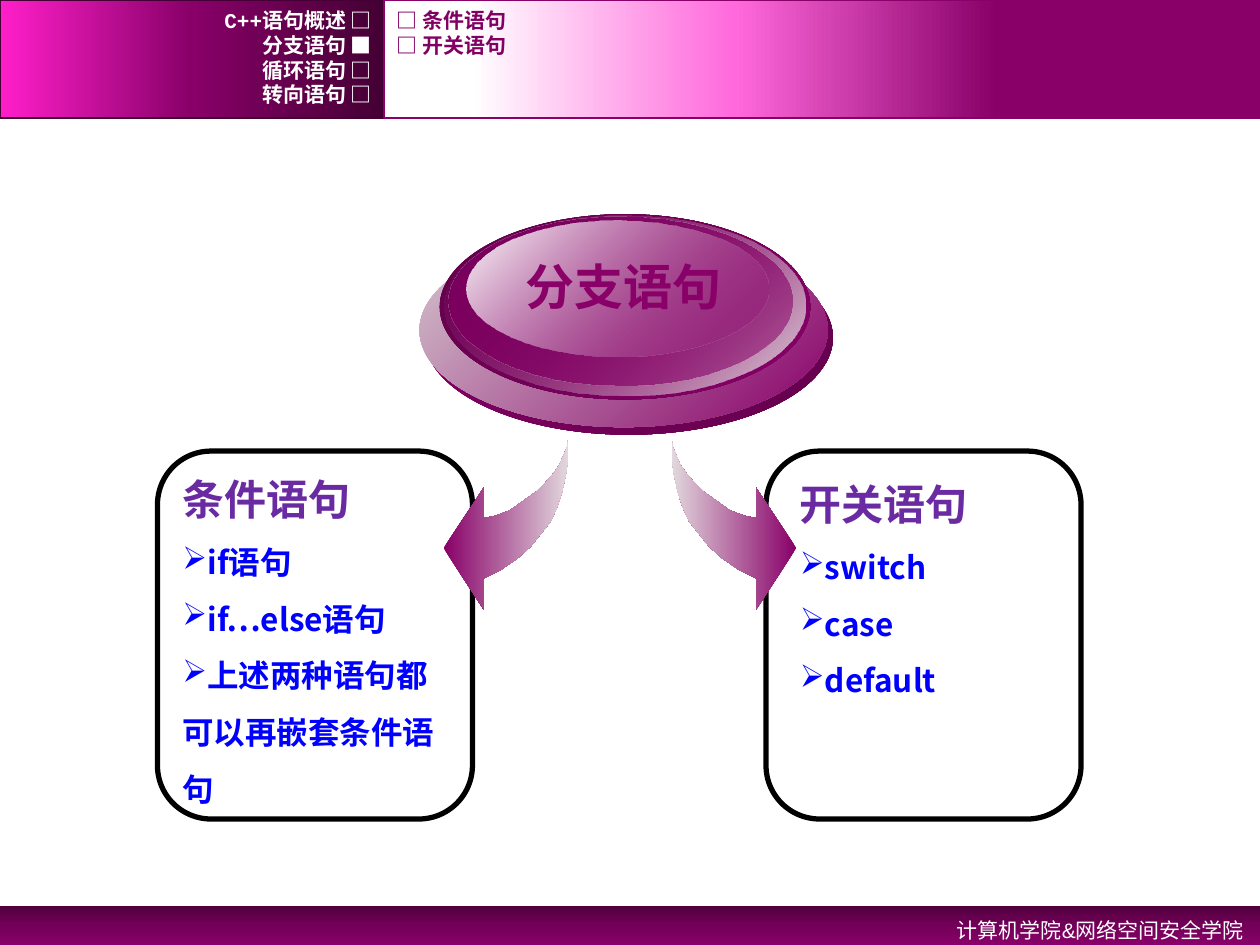
from lxml.etree import SubElement
from pptx import Presentation
from pptx.dml.color import RGBColor
from pptx.enum.shapes import MSO_SHAPE as Shape
from pptx.enum.text import MSO_ANCHOR as Anchor, MSO_AUTO_SIZE as AutoSize, PP_ALIGN as Align
from pptx.oxml.ns import qn
from pptx.util import Inches, Pt

WHITE = RGBColor(0xFF, 0xFF, 0xFF)
BLACK = RGBColor(0x00, 0x00, 0x00)
BLUE = RGBColor(0x00, 0x00, 0xFF)
VIOLET = RGBColor(0x69, 0x2A, 0xA2)
PLUM = RGBColor(0x88, 0x00, 0x68)
MENU_PLUM = RGBColor(0x82, 0x00, 0x64)
DARK_PLUM = RGBColor(0x44, 0x00, 0x34)
FOOTER_DARK = RGBColor(0x51, 0x00, 0x3E)
FOOTER_MIDDLE = RGBColor(0x73, 0x00, 0x58)
MAGENTA = RGBColor(0xFF, 0x1F, 0xCA)
PINK = RGBColor(0xFF, 0x69, 0xDC)
ARROW_PALE = RGBColor(0xE2, 0xD8, 0xDD)
BASE_SHADE = RGBColor(0x63, 0x00, 0x4C)
BASE_PALE = RGBColor(0xD5, 0xC6, 0xCE)
RIM_DARK = RGBColor(0x61, 0x00, 0x4A)
RIM_PALE = RGBColor(0xDF, 0xD4, 0xDA)
DISC_DARK = RGBColor(0x7B, 0x00, 0x5E)

CJK_FONT = "Noto Sans CJK SC"
HEADING = {"name": CJK_FONT, "size": Pt(24), "bold": True, "color": VIOLET}
ITEM = {"name": CJK_FONT, "size": Pt(18), "bold": True, "color": BLUE}
TITLE = {"name": CJK_FONT, "size": Pt(28), "bold": True, "color": PLUM}
MENU = {"name": "Courier New", "size": Pt(12), "bold": True, "color": WHITE}
SUBMENU = {**MENU, "color": MENU_PLUM}
FOOTER = {"name": "Arial", "size": Pt(12), "bold": False, "color": WHITE}

CHAPTERS = ["C++语句概述 □", "分支语句 ■", "循环语句 □", "转向语句 □"]
SECTIONS = ["□ 条件语句", "□ 开关语句"]
MENU_STEP = 0.197

BUTTON_LAYERS = [
    ((3.37, 1.91, 3.24, 1.54), [(0, PLUM, 100), (100, BASE_SHADE, 100)]),
    ((3.33, 1.85, 3.24, 1.54), [(0, BASE_PALE, 100), (100, PLUM, 100)]),
    ((3.49, 1.7, 2.94, 1.47), [(0, RIM_DARK, 100), (100, PLUM, 100)]),
    ((3.53, 1.71, 2.86, 1.43), [(0, PLUM, 0), (100, RIM_PALE, 100)]),
    ((3.56, 1.72, 2.73, 1.34), [(0, DISC_DARK, 100), (100, PLUM, 48)]),
    ((3.7, 1.75, 2.4, 1.08), [(0, WHITE, 100), (100, PLUM, 38)]),
]

ARROW_POINTS = [
    (451, 348), (451, 363), (449, 377), (446, 391), (442, 403), (437, 414), (429, 424),
    (421, 434), (411, 443), (398, 452), (384, 459), (384, 484), (352, 435), (384, 387),
    (384, 411), (391, 410), (397, 408), (405, 405), (412, 400), (419, 395), (426, 390),
    (433, 383), (439, 376), (444, 369), (447, 362), (450, 355),
]
MIRROR_SUM = 984


def fill_gradient(shape, stops, angle):
    shape.fill.gradient()
    gradient = shape._element.spPr.find(qn("a:gradFill"))
    for child in list(gradient):
        gradient.remove(child)
    stop_list = SubElement(gradient, qn("a:gsLst"))
    for position, color, opacity in stops:
        stop = SubElement(stop_list, qn("a:gs"), pos=str(position * 1000))
        color_element = SubElement(stop, qn("a:srgbClr"), val=str(color))
        if opacity < 100:
            SubElement(color_element, qn("a:alpha"), val=str(opacity * 1000))
    SubElement(gradient, qn("a:lin"), ang=str(angle * 60000), scaled="0")


def style_shape(shape, stops=None, angle=0, line=None, width=1):
    shape.shadow.inherit = False
    if stops:
        fill_gradient(shape, stops, angle)
    else:
        shape.fill.background()
    if line is None:
        shape.line.fill.background()
    else:
        shape.line.color.rgb = line
        shape.line.width = Pt(width)


def add_preset(shapes, kind, box, **style):
    shape = shapes.add_shape(kind, *map(Inches, box))
    style_shape(shape, **style)
    return shape


def add_arrow(slide, points, angle):
    builder = slide.shapes.build_freeform(*points[0], scale=Inches(0.01))
    builder.add_line_segments(points[1:], close=True)
    style_shape(builder.convert_to_shape(), [(0, PLUM, 100), (100, ARROW_PALE, 100)], angle)


def write_run(paragraph, text, font_format):
    run = paragraph.add_run()
    run.text = text
    for key, value in font_format.items():
        if key == "color":
            run.font.color.rgb = value
        else:
            setattr(run.font, key, value)
    SubElement(run._r.get_or_add_rPr(), qn("a:ea"), typeface=CJK_FONT)


def add_text(slide, box, text, font_format, align=Align.LEFT, spacing=None, **frame_format):
    frame = slide.shapes.add_textbox(*map(Inches, box)).text_frame
    for key, value in {"word_wrap": True, **frame_format}.items():
        setattr(frame, key, value)
    paragraph = frame.paragraphs[0]
    paragraph.alignment = align
    if spacing:
        paragraph.line_spacing = spacing
    write_run(paragraph, text, font_format)
    return frame


def add_menu(slide, left, width, entries, font_format, align):
    for row, entry in enumerate(entries):
        add_text(slide, (left, 0.06 + row * MENU_STEP, width, 0.2), entry, font_format, align,
                 vertical_anchor=Anchor.MIDDLE)


def add_card(slide, left, text_box, heading, items):
    card = add_preset(slide.shapes, Shape.ROUNDED_RECTANGLE, (left, 3.58, 2.5, 2.92),
                      line=BLACK, width=3)
    card.adjustments[0] = 0.17
    frame = add_text(slide, text_box, heading, HEADING, auto_size=AutoSize.SHAPE_TO_FIT_TEXT)
    for item in items:
        paragraph = frame.add_paragraph()
        properties = paragraph._p.get_or_add_pPr()
        properties.set("marL", "0")
        properties.set("indent", "0")
        SubElement(properties, qn("a:buChar"), char="➢")
        paragraph.line_spacing = 1.5
        write_run(paragraph, item, ITEM)


def add_bands(slide):
    add_preset(slide.shapes, Shape.RECTANGLE, (0, 7.19, 10, 0.31), angle=90,
               stops=[(0, FOOTER_DARK, 100), (50, FOOTER_MIDDLE, 100), (100, PLUM, 100)])
    add_preset(slide.shapes, Shape.RECTANGLE, (0, 0, 3.05, 0.94), angle=180, line=DARK_PLUM,
               stops=[(0, DARK_PLUM, 100), (50, PLUM, 100), (100, MAGENTA, 100)])
    add_preset(slide.shapes, Shape.RECTANGLE, (3.05, 0, 6.95, 0.94), angle=180, line=PLUM,
               stops=[(30, PLUM, 100), (60, PINK, 100), (90, WHITE, 100)])
    add_text(slide, (6.42, 7.19, 3.55, 0.32), "计算机学院&网络空间安全学院", FOOTER, Align.RIGHT,
             1.2, auto_size=AutoSize.SHAPE_TO_FIT_TEXT)


def add_button(slide):
    group = slide.shapes.add_group_shape()
    for box, stops in BUTTON_LAYERS:
        add_preset(group.shapes, Shape.OVAL, box, stops=stops, angle=45)
    add_text(slide, (4.06, 1.99, 1.78, 0.57), "分支语句", TITLE, Align.CENTER,
             word_wrap=False, auto_size=AutoSize.SHAPE_TO_FIT_TEXT)


def main():
    presentation = Presentation()
    presentation.slide_width, presentation.slide_height = Inches(10), Inches(7.5)
    slide = presentation.slides.add_slide(presentation.slide_layouts[6])
    add_bands(slide)
    add_card(slide, 6.08, (6.25, 3.75, 2.25, 1.87), "开关语句", ["switch", "case", "default"])
    add_card(slide, 1.25, (1.35, 3.71, 2.23, 2.78), "条件语句",
             ["if语句", "if…else语句", "上述两种语句都可以再嵌套条件语句"])
    add_arrow(slide, ARROW_POINTS, 0)
    add_arrow(slide, [(MIRROR_SUM - x, y) for x, y in ARROW_POINTS], 180)
    add_button(slide)
    add_menu(slide, 0, 3.05, CHAPTERS, MENU, Align.RIGHT)
    add_menu(slide, 3.05, 6.02, SECTIONS, SUBMENU, Align.LEFT)
    presentation.save("out.pptx")


if __name__ == "__main__":
    main()
